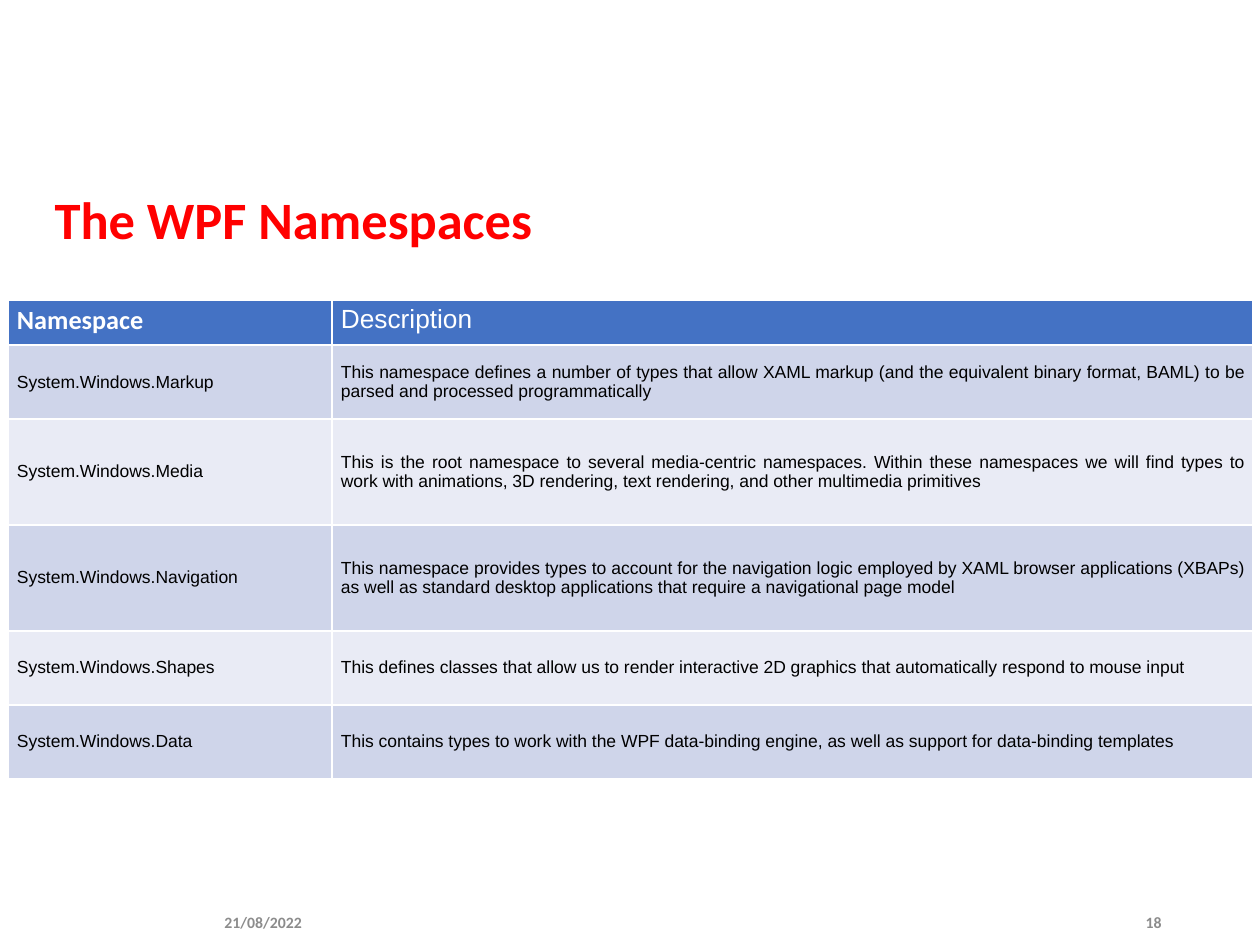
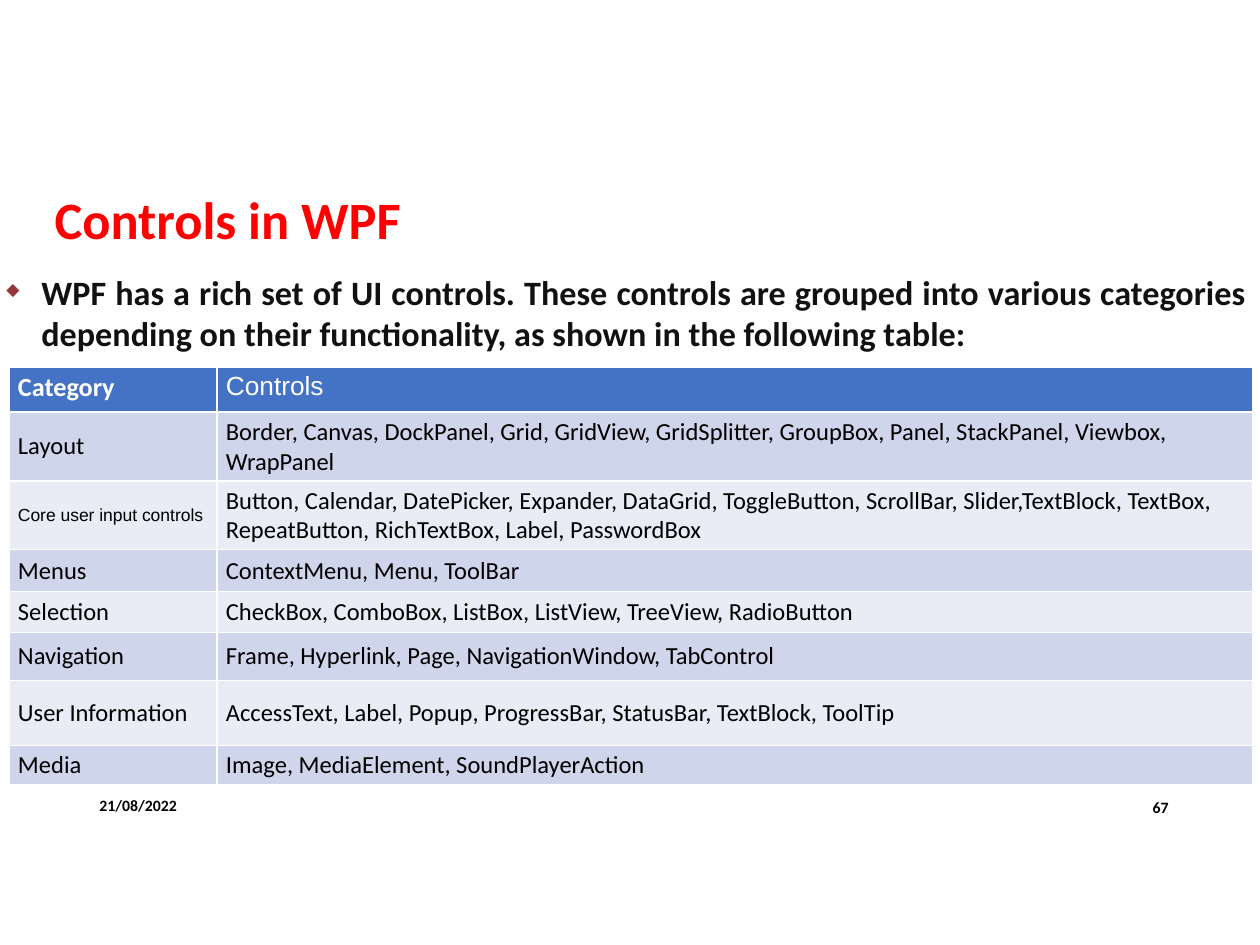
from dataclasses import dataclass
from lxml.etree import SubElement
from pptx import Presentation
from pptx.dml.color import RGBColor
from pptx.enum.text import MSO_ANCHOR as ANCHOR, MSO_AUTO_SIZE as AUTO, PP_ALIGN as ALIGN
from pptx.oxml import parse_xml
from pptx.oxml.ns import nsdecls, qn
from pptx.util import Pt

PX = 914400 // 126  # EMU in one px


@dataclass(frozen=True)
class Theme:
    title: str = "FF0000"
    header: str = "4472C4"
    bands: tuple = ("CFD5EA", "E9EBF5")
    white: str = "FFFFFF"
    black: str = "000000"
    intro: str = "111111"
    bullet: str = "973735"
    muted: str = "8C8C8C"
    heading_font: str = "Calibri"
    plain_font: str = "Arial"
    title_size: float = 30
    intro_size: float = 19.5
    header_size: float = 15
    large_size: float = 14
    small_size: float = 10
    footer_size: float = 9


T = Theme()

NAMESPACE_ROWS = [
    ("Namespace", "Description"),
    ("System.Windows.Markup",
     "This namespace defines a number of types that allow XAML markup (and the equivalent "
     "binary format, BAML) to be parsed and processed programmatically"),
    ("System.Windows.Media",
     "This is the root namespace to several media-centric namespaces. Within these namespaces "
     "we will find types to work with animations, 3D rendering, text rendering, and other "
     "multimedia primitives"),
    ("System.Windows.Navigation",
     "This namespace provides types to account for the navigation logic employed by XAML browser "
     "applications (XBAPs) as well as standard desktop applications that require a navigational "
     "page model"),
    ("System.Windows.Shapes",
     "This defines classes that allow us to render interactive 2D graphics that automatically "
     "respond to mouse input"),
    ("System.Windows.Data",
     "This contains types to work with the WPF data-binding engine, as well as support for "
     "data-binding templates"),
]

CONTROL_ROWS = [
    ("Category", "Controls"),
    ("Layout", "Border, Canvas, DockPanel, Grid, GridView, GridSplitter, GroupBox, Panel, "
               "StackPanel, Viewbox, WrapPanel"),
    ("Core user input controls",
     "Button, Calendar, DatePicker, Expander, DataGrid, ToggleButton, ScrollBar, "
     "Slider,TextBlock, TextBox, RepeatButton, RichTextBox, Label, PasswordBox"),
    ("Menus", "ContextMenu, Menu, ToolBar"),
    ("Selection", "CheckBox, ComboBox, ListBox, ListView, TreeView, RadioButton"),
    ("Navigation", "Frame, Hyperlink, Page, NavigationWindow, TabControl"),
    ("User Information",
     "AccessText, Label, Popup, ProgressBar, StatusBar, TextBlock, ToolTip"),
    ("Media", "Image, MediaElement, SoundPlayerAction"),
]

INTRO = ("WPF has a rich set of UI controls. These controls are grouped into various categories "
         "depending on their functionality, as shown in the following table:")

# All boxes are left, top, width, height in px.
SLIDES = [
    dict(title="The WPF Namespaces", title_width=1218, intro=None,
         rows=NAMESPACE_ROWS, left=8, top=300, cols=(324, 921),
         heights=(45, 74, 106, 106, 74, 74),
         body_font=T.plain_font, body_size=T.small_size, body_align=ALIGN.JUSTIFY,
         date=(212, 898, 159, 48), number=(890, 900, 284, 45), page="18", footer_color=T.muted),
    dict(title="Controls in WPF", title_width=1153, intro=INTRO,
         rows=CONTROL_ROWS, left=9, top=367, cols=(208, 1036),
         heights=(45, 68, 68, 42, 41, 48, 65, 39),
         body_font=T.heading_font, body_size=T.large_size, body_align=ALIGN.LEFT,
         date=(87, 786, 284, 38), number=(897, 788, 284, 38), page="67", footer_color=T.black),
]


def write(tf, text, size, color, font=T.heading_font, bold=True, align=ALIGN.LEFT):
    """Fill a text frame with one formatted paragraph and return that paragraph."""
    tf.text = text
    tf.word_wrap = True
    p = tf.paragraphs[0]
    p.alignment = align
    f = p.runs[0].font
    f.name, f.size, f.bold = font, Pt(size), bold
    f.color.rgb = RGBColor.from_string(color)
    return p


def add_borders(cell):
    tc_pr = cell._tc.get_or_add_tcPr()
    for i, side in enumerate(("lnL", "lnR", "lnT", "lnB")):
        tc_pr.insert(i, parse_xml(
            f'<a:{side} {nsdecls("a")} w="{Pt(1)}"><a:solidFill>'
            f'<a:srgbClr val="{T.white}"/></a:solidFill></a:{side}>'))


prs = Presentation()
prs.slide_width, prs.slide_height = 1260 * PX, 945 * PX

for page in SLIDES:
    s = prs.slides.add_slide(prs.slide_layouts[5])

    title = s.shapes.title
    title.left, title.top = 42 * PX, 193 * PX
    title.width, title.height = page["title_width"] * PX, 59 * PX
    p = write(title.text_frame, page["title"], T.title_size, T.title)
    p.line_spacing = 0.9
    title.text_frame.vertical_anchor = ANCHOR.MIDDLE
    title.text_frame.auto_size = AUTO.NONE

    if page["intro"]:
        tf = s.shapes.add_textbox(-6 * PX, 265 * PX, 1266 * PX, 96 * PX).text_frame
        p = write(tf, page["intro"], T.intro_size, T.intro, align=ALIGN.JUSTIFY)
        p.space_before = Pt(7.5)
        tf.auto_size = AUTO.SHAPE_TO_FIT_TEXT
        p_pr = p._p.get_or_add_pPr()
        p_pr.set("marL", str(35 * PX))
        p_pr.set("indent", str(-35 * PX))
        SubElement(SubElement(p_pr, qn("a:buClr")), qn("a:srgbClr"), val=T.bullet)
        SubElement(p_pr, qn("a:buSzPct"), val="50000")
        SubElement(p_pr, qn("a:buChar"), char="◆")
        tabs = SubElement(p_pr, qn("a:tabLst"))
        SubElement(tabs, qn("a:tab"), pos=str(25 * PX), algn="l")

    rows, cols, heights = page["rows"], page["cols"], page["heights"]
    table = s.shapes.add_table(len(rows), len(cols), page["left"] * PX, page["top"] * PX,
                               sum(cols) * PX, sum(heights) * PX).table
    for column, width in zip(table.columns, cols):
        column.width = width * PX
    for r, (row, height) in enumerate(zip(rows, heights)):
        table.rows[r].height = height * PX
        for c, text in enumerate(row):
            cell = table.cell(r, c)
            cell.margin_left = cell.margin_right = 9 * PX
            cell.margin_top = cell.margin_bottom = 5 * PX
            cell.fill.solid()
            if r == 0:
                fill = T.header
                write(cell.text_frame, text, T.header_size, T.white,
                      font=T.plain_font if c else T.heading_font, bold=c == 0)
            else:
                fill = T.bands[(r - 1) % 2]
                cell.vertical_anchor = ANCHOR.MIDDLE
                font, size = page["body_font"], page["body_size"]
                if text == "Core user input controls":
                    font, size = T.plain_font, T.small_size
                write(cell.text_frame, text, size, T.black, font, bold=False,
                      align=page["body_align"] if c else ALIGN.LEFT)
            cell.fill.fore_color.rgb = RGBColor.from_string(fill)
            add_borders(cell)

    for box, text, align in ((page["date"], "21/08/2022", ALIGN.LEFT),
                             (page["number"], page["page"], ALIGN.RIGHT)):
        tf = s.shapes.add_textbox(*(v * PX for v in box)).text_frame
        write(tf, text, T.footer_size, page["footer_color"], align=align)
        tf.vertical_anchor = ANCHOR.MIDDLE

prs.save("out.pptx")
